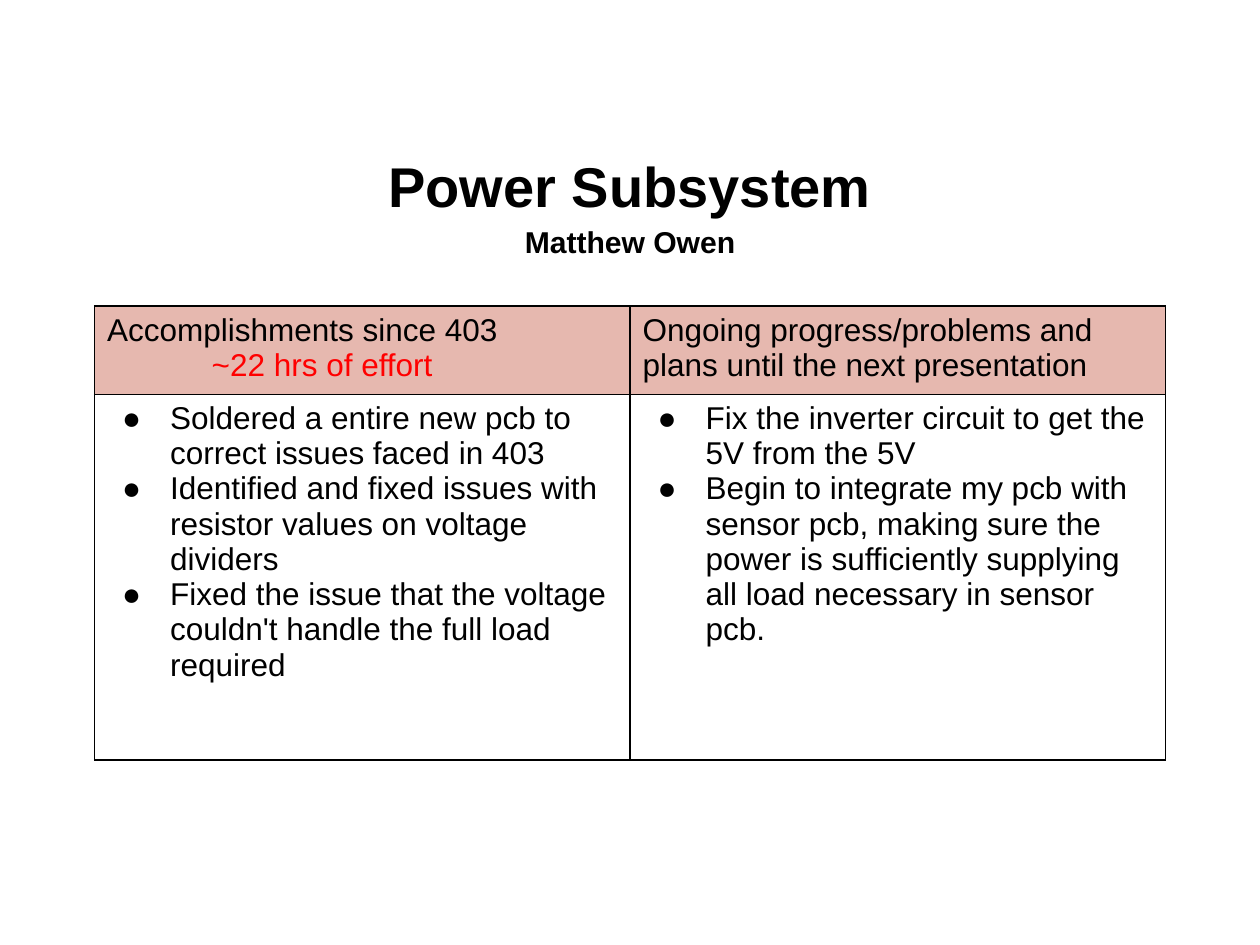
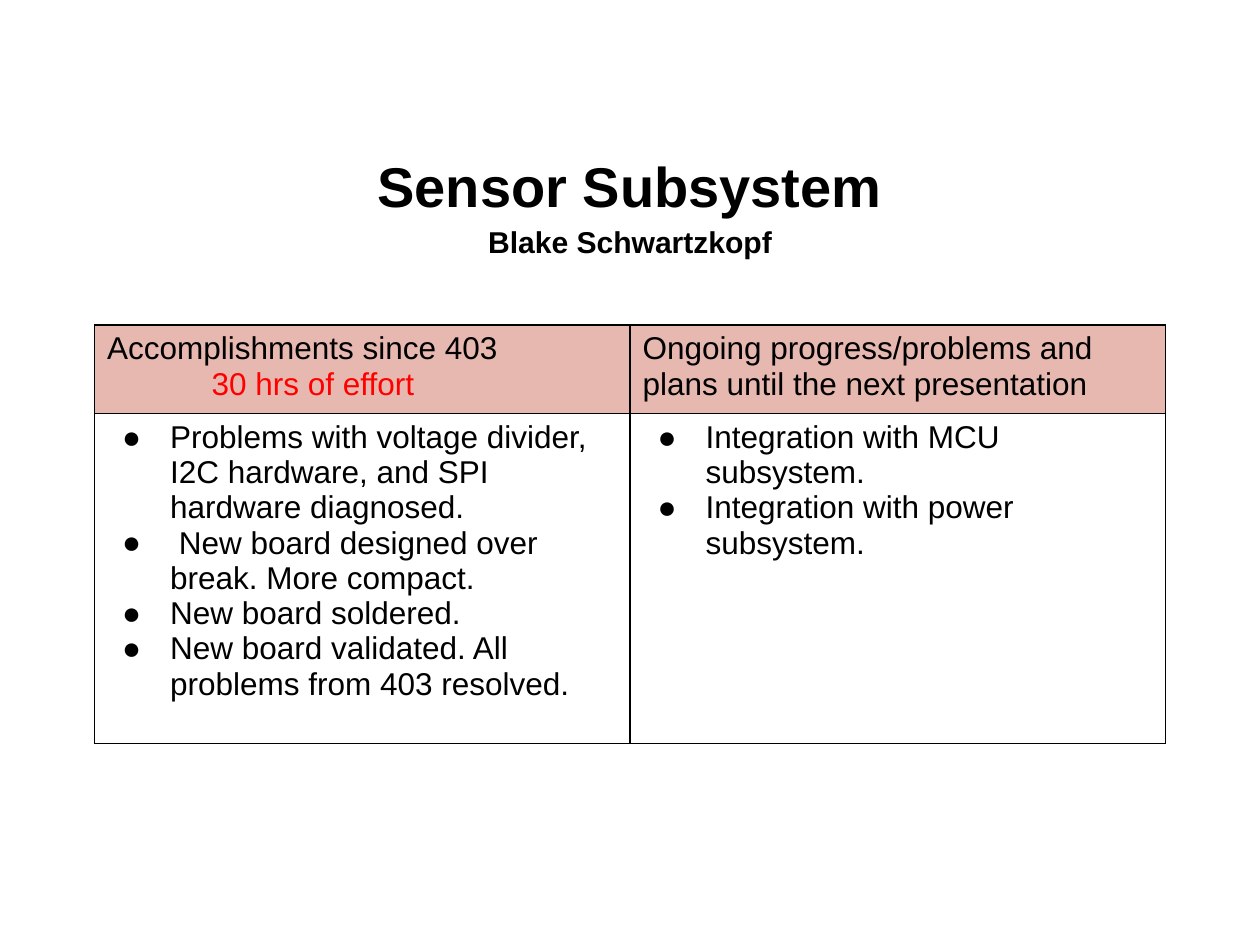
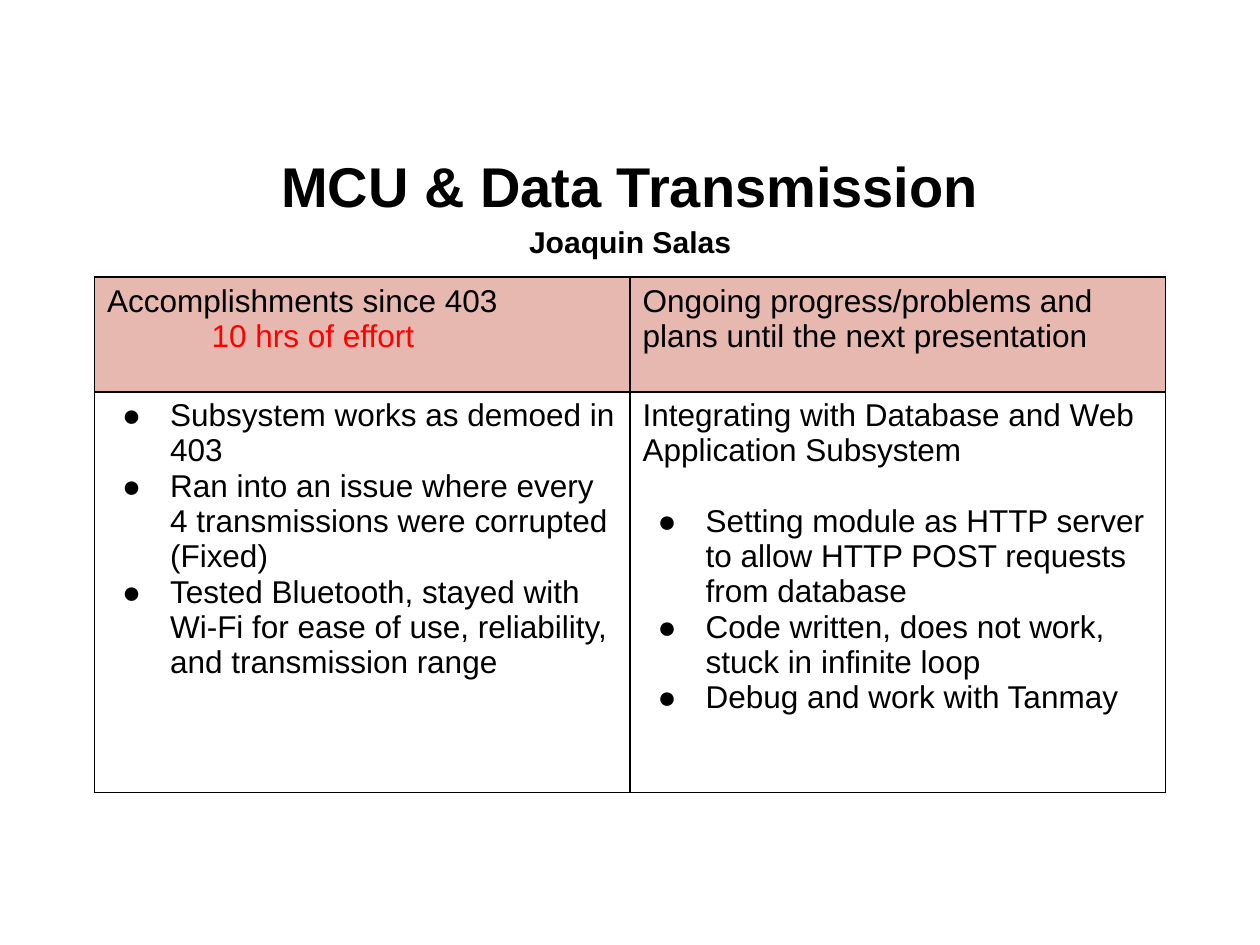
from lxml.etree import SubElement
from pptx import Presentation
from pptx.dml.color import RGBColor
from pptx.enum.text import MSO_ANCHOR, PP_ALIGN
from pptx.oxml import parse_xml
from pptx.oxml.ns import nsdecls, qn
from pptx.util import Inches, Pt

BLACK = "000000"
RED = "FF0000"
HEADER_FILL = "E6B8AF"
FONT = "Arial"
COLUMN_WIDTH = 4.25

subsystems = [
    {
        "title": "Power Subsystem", "owner": "Matthew Owen",
        "effort": "~22 hrs of effort", "top": 2.43, "rows": [0.7, 2.9],
        "done": [
            "Soldered a entire new pcb to correct issues faced in 403",
            "Identified and fixed issues with resistor values on voltage dividers",
            "Fixed the issue that the voltage couldn't handle the full load required",
        ],
        "intro": "",
        "plans": [
            "Fix the inverter circuit to get the 5V from the 5V",
            "Begin to integrate my pcb with sensor pcb, making sure the power is "
            "sufficiently supplying all load necessary in sensor pcb.",
        ],
    },
    {
        "title": "Sensor Subsystem", "owner": "Blake Schwartzkopf",
        "effort": "30 hrs of effort", "top": 2.58, "rows": [0.7, 2.62],
        "done": [
            "Problems with voltage divider, I2C hardware, and SPI hardware diagnosed.",
            " New board designed over break. More compact.",
            "New board soldered.",
            "New board validated. All problems from 403 resolved.",
        ],
        "intro": "",
        "plans": ["Integration with MCU subsystem.", "Integration with power subsystem."],
    },
    {
        "title": "MCU & Data Transmission", "owner": "Joaquin Salas",
        "effort": "10 hrs of effort", "top": 2.2, "rows": [0.91, 3.18],
        "done": [
            "Subsystem works as demoed in 403",
            "Ran into an issue where every 4 transmissions were corrupted (Fixed)",
            "Tested Bluetooth, stayed with Wi-Fi for ease of use, reliability, "
            "and transmission range",
        ],
        "intro": "Integrating with Database and Web Application Subsystem",
        "plans": [
            "Setting module as HTTP server to allow HTTP POST requests from database",
            "Code written, does not work, stuck in infinite loop",
            "Debug and work with Tanmay",
        ],
    },
]


def rgb(color):
    return RGBColor.from_string(color)


def write_lines(frame, lines, size=18, color=BLACK, bold=False):
    frame.text = "\n".join(lines)
    for para in frame.paragraphs:
        for span in para.runs:
            span.font.name = FONT
            span.font.size = Pt(size)
            span.font.bold = bold
            span.font.color.rgb = rgb(color)


deck = Presentation()
deck.slide_width = Inches(10)
deck.slide_height = Inches(7.5)

for subsystem in subsystems:
    page = deck.slides.add_slide(deck.slide_layouts[6])

    box = page.shapes.add_textbox(Inches(0.5), Inches(1.15), Inches(9), Inches(0.88))
    frame = box.text_frame
    frame.word_wrap = True
    frame.vertical_anchor = MSO_ANCHOR.MIDDLE
    write_lines(frame, [subsystem["title"], subsystem["owner"]], size=32, bold=True)
    for para in frame.paragraphs:
        para.alignment = PP_ALIGN.CENTER
        para.line_spacing = 1.15
    frame.paragraphs[1].runs[0].font.size = Pt(17.2)

    row_heights = subsystem["rows"]
    table = page.shapes.add_table(
        2, 2, Inches(0.75), Inches(subsystem["top"]),
        Inches(2 * COLUMN_WIDTH), Inches(sum(row_heights)),
    ).table
    table.first_row = False
    table.horz_banding = False
    for column in table.columns:
        column.width = Inches(COLUMN_WIDTH)
    for row, height in zip(table.rows, row_heights):
        row.height = Inches(height)

    for cell in table.iter_cells():
        properties = cell._tc.get_or_add_tcPr()
        for side in ("lnL", "lnR", "lnT", "lnB"):
            properties.append(parse_xml(
                f'<a:{side} {nsdecls("a")} w="{Pt(1)}"><a:solidFill>'
                f'<a:srgbClr val="{BLACK}"/></a:solidFill></a:{side}>'
            ))
        cell.fill.background()

    done_header, plans_header = table.cell(0, 0), table.cell(0, 1)
    for header in (done_header, plans_header):
        header.fill.solid()
        header.fill.fore_color.rgb = rgb(HEADER_FILL)
    write_lines(done_header.text_frame, ["Accomplishments since 403", subsystem["effort"]])
    effort = done_header.text_frame.paragraphs[1]
    effort._p.get_or_add_pPr().set("marL", str(Inches(0.83)))
    effort.runs[0].font.color.rgb = rgb(RED)
    write_lines(
        plans_header.text_frame,
        ["Ongoing progress/problems and plans until the next presentation"],
    )

    for column, (intro, items) in enumerate(
        [("", subsystem["done"]), (subsystem["intro"], subsystem["plans"])]
    ):
        frame = table.cell(1, column).text_frame
        write_lines(frame, [intro] * bool(intro) + items)
        bullets = frame.paragraphs[-len(items):]
        if intro:
            bullets[0].space_before = Pt(20)
        for para in bullets:
            properties = para._p.get_or_add_pPr()
            properties.set("marL", str(Inches(0.5)))
            properties.set("indent", str(Inches(-0.38)))
            bullet_color = SubElement(properties, qn("a:buClr"))
            SubElement(bullet_color, qn("a:srgbClr")).set("val", BLACK)
            SubElement(properties, qn("a:buFont")).set("typeface", FONT)
            SubElement(properties, qn("a:buChar")).set("char", "●")

deck.save("out.pptx")
